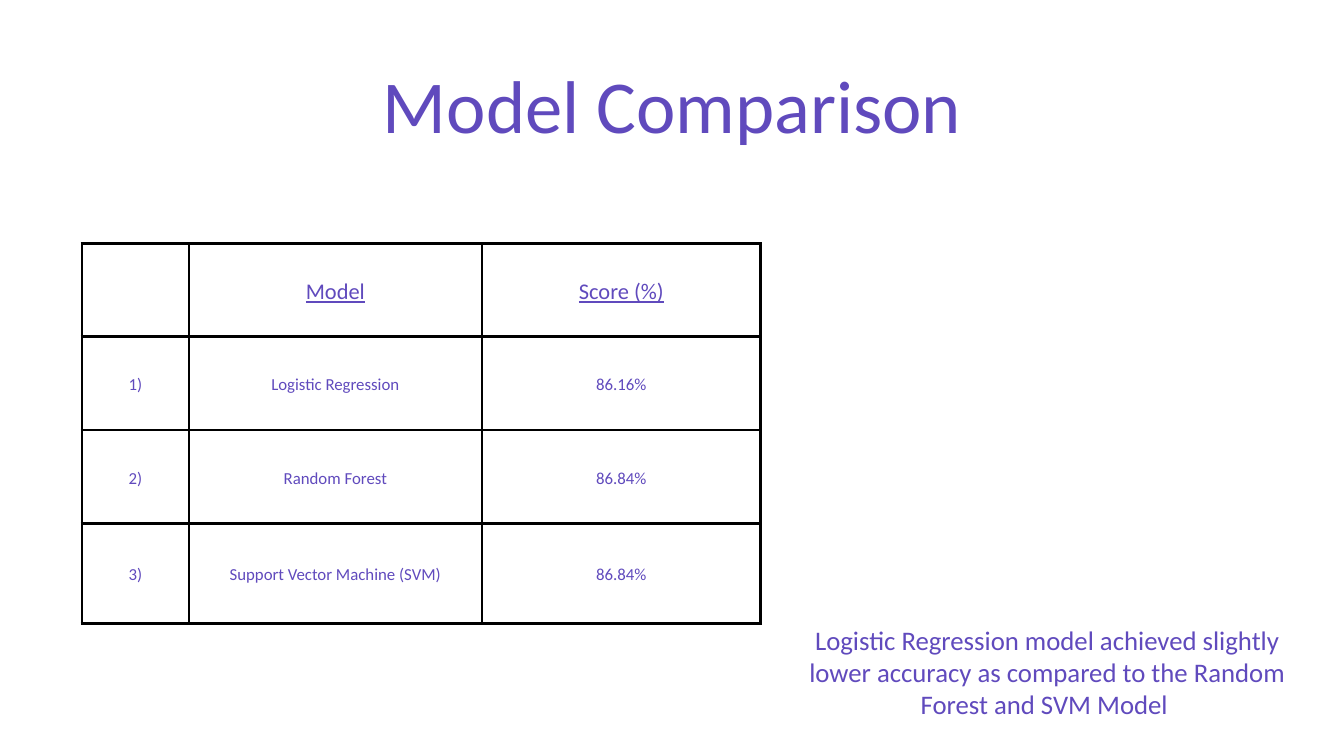
from lxml import etree
from pptx import Presentation
from pptx.dml.color import RGBColor
from pptx.enum.text import MSO_ANCHOR, PP_ALIGN
from pptx.oxml.ns import qn
from pptx.util import Inches, Pt

CENTER = PP_ALIGN.CENTER
MIDDLE = MSO_ANCHOR.MIDDLE
FONT = "Calibri"
PURPLE = "604ABD"
BLACK = "000000"

COLUMN_WIDTHS = [1.59, 4.36, 4.15]
ROW_HEIGHTS = [1.39, 1.39, 1.39, 1.49]
SCORES = [
    ["", "Model", "Score (%)"],
    ["1)", "Logistic Regression", "86.16%"],
    ["2)", "Random Forest", "86.84%"],
    ["3)", "Support Vector Machine (SVM)", "86.84%"],
]


def color(hex_string):
    return RGBColor.from_string(hex_string)


def set_text(frame, text, size, spacing, margin=0, underline=False):
    """Write one centred purple paragraph with exact line spacing in points."""
    frame.word_wrap = True
    frame.margin_left = frame.margin_right = Inches(margin)
    frame.margin_top = frame.margin_bottom = Inches(margin)
    frame.text = text
    para = frame.paragraphs[0]
    para.alignment = CENTER
    para.line_spacing = Pt(spacing)
    for span in para.runs:
        span.font.name = FONT
        span.font.size = Pt(size)
        span.font.underline = underline
        span.font.color.rgb = color(PURPLE)


def add_text(page, left, top, width, height, text, size, spacing):
    box = page.shapes.add_textbox(Inches(left), Inches(top), Inches(width), Inches(height))
    set_text(box.text_frame, text, size, spacing)


def set_borders(cell, hex_string, width):
    properties = cell._tc.get_or_add_tcPr()
    for side in ("lnL", "lnR", "lnT", "lnB"):
        line = etree.SubElement(properties, qn(f"a:{side}"), w=str(Pt(width)))
        fill = etree.SubElement(line, qn("a:solidFill"))
        etree.SubElement(fill, qn("a:srgbClr"), val=hex_string)


def add_score_table(page, left, top):
    table = page.shapes.add_table(
        len(SCORES), len(COLUMN_WIDTHS), Inches(left), Inches(top),
        Inches(sum(COLUMN_WIDTHS)), Inches(sum(ROW_HEIGHTS))).table
    table.horz_banding = False
    table.first_row = False
    for column, width in zip(table.columns, COLUMN_WIDTHS):
        column.width = Inches(width)
    for index, (row, height, texts) in enumerate(zip(table.rows, ROW_HEIGHTS, SCORES)):
        row.height = Inches(height)
        is_header = index == 0
        size = 24 if is_header else 18
        for cell, text in zip(row.cells, texts):
            set_text(cell.text_frame, text, size, size * 1.4, underline=is_header)
            cell.margin_left = cell.margin_right = Inches(0.21)
            cell.margin_top = cell.margin_bottom = Inches(0.21)
            cell.vertical_anchor = MIDDLE
            set_borders(cell, BLACK, 3)
            cell.fill.background()


def main():
    deck = Presentation()
    deck.slide_width = Inches(20)
    deck.slide_height = Inches(11.25)
    page = deck.slides.add_slide(deck.slide_layouts[6])
    add_score_table(page, 1.22, 3.62)
    add_text(page, 1.22, 0.88, 17.57, 1.34, "Model Comparison", 80, 96)
    add_text(page, 11.9, 9.28, 7.37, 1.43,
             "Logistic Regression model achieved slightly lower accuracy "
             "as compared to the Random Forest and SVM Model ", 28.7, 34.4)
    deck.save("out.pptx")


if __name__ == "__main__":
    main()
